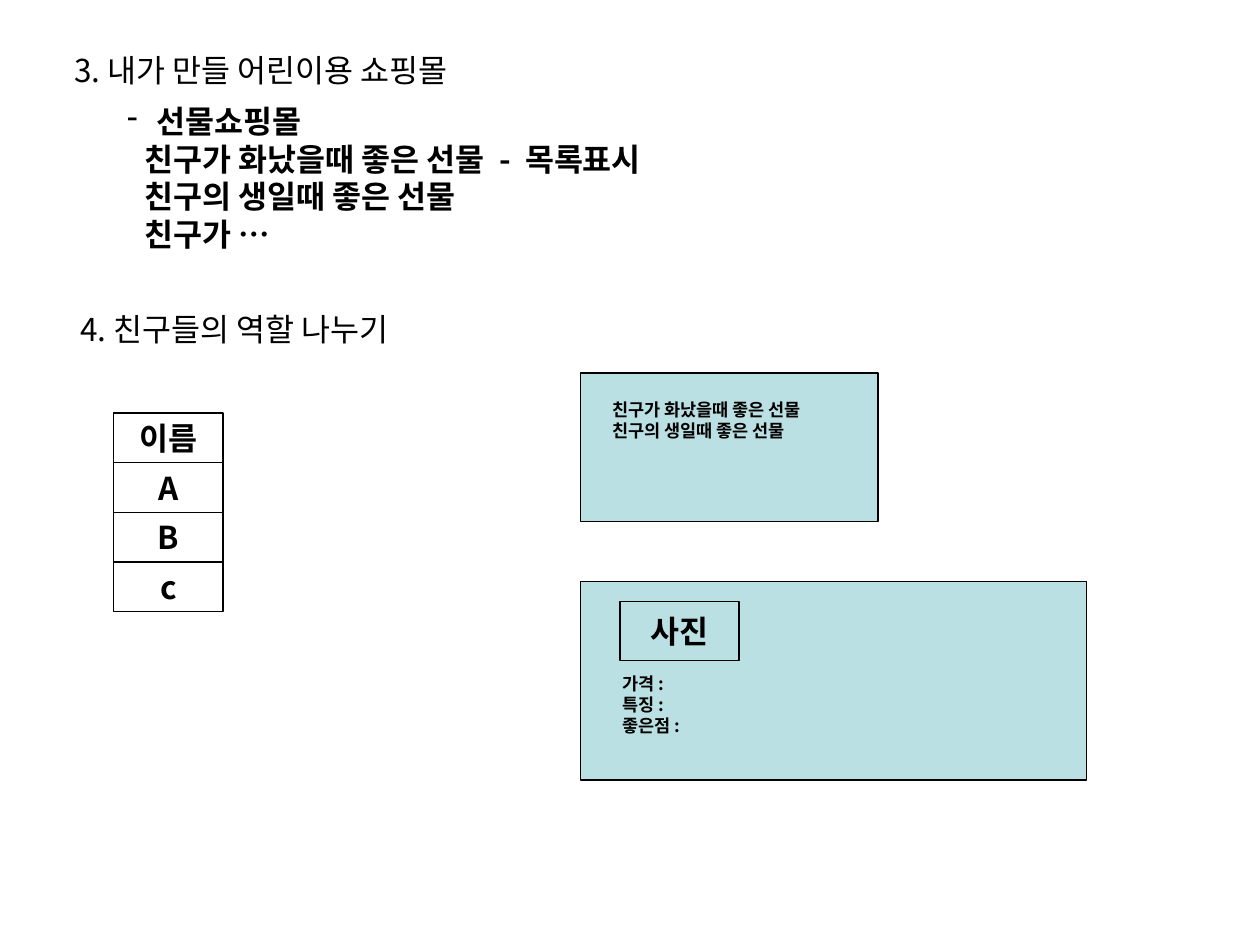
import pptx
import pptx.util
from pptx.dml.color import RGBColor
from pptx.enum.shapes import MSO_SHAPE
from pptx.enum.text import MSO_ANCHOR, MSO_AUTO_SIZE, PP_ALIGN
from pptx.oxml.ns import qn
from lxml import etree

Pt = pptx.util.Pt


def color(value):
    return RGBColor.from_string(value)


class Deck:
    font = "Noto Sans CJK KR"
    ink = "000000"
    panel = "BBE0E3"
    line_width = 0.75
    leading = 1.2

    def __init__(self, width, height):
        self.prs = pptx.Presentation()
        self.prs.slide_width, self.prs.slide_height = Pt(width), Pt(height)
        self.s = self.prs.slides.add_slide(self.prs.slide_layouts[6])

    def add_lines(self, sp, lines, size, bold, frame, align=PP_ALIGN.LEFT, indent=0, dash=0):
        """Fill a shape with lines; dash is the hanging indent of a dashed first line."""
        tf = sp.text_frame
        for name, value in frame.items():
            setattr(tf, name, value)
        for i, line in enumerate(lines):
            p = tf.paragraphs[0] if i == 0 else tf.add_paragraph()
            p.alignment = align
            p.line_spacing = Pt(size * self.leading)
            hang = dash if i == 0 else 0
            pPr = p._p.get_or_add_pPr()
            pPr.set("marL", str(int(Pt(hang or indent))))
            pPr.set("indent", str(-int(Pt(hang))))
            if hang:
                etree.SubElement(pPr, qn("a:buChar")).set("char", "-")
            r = p.add_run()
            r.text = line
            style = {"size": Pt(size), "bold": bold, "name": self.font}
            for name, value in style.items():
                setattr(r.font, name, value)
            r.font.color.rgb = color(self.ink)
            etree.SubElement(r._r.get_or_add_rPr(), qn("a:ea")).set("typeface", self.font)

    def text(self, x, y, w, h, lines, size=18, bold=True, wrap=False, grow=True, **layout):
        sp = self.s.shapes.add_textbox(Pt(x), Pt(y), Pt(w), Pt(h))
        frame = {
            "word_wrap": wrap,
            "auto_size": MSO_AUTO_SIZE.SHAPE_TO_FIT_TEXT if grow else MSO_AUTO_SIZE.NONE,
            "vertical_anchor": MSO_ANCHOR.TOP if grow else MSO_ANCHOR.MIDDLE,
        }
        self.add_lines(sp, lines, size, bold, frame, **layout)

    def box(self, x, y, w, h, label=None, fill=None):
        sp = self.s.shapes.add_shape(MSO_SHAPE.RECTANGLE, Pt(x), Pt(y), Pt(w), Pt(h))
        sp.shadow.inherit = False
        if fill:
            sp.fill.solid()
            sp.fill.fore_color.rgb = color(fill)
        else:
            sp.fill.background()
        sp.line.color.rgb = color(self.ink)
        sp.line.width = Pt(self.line_width)
        if label:
            frame = {"word_wrap": False, "vertical_anchor": MSO_ANCHOR.MIDDLE}
            self.add_lines(sp, [label], 18, True, frame, PP_ALIGN.CENTER)


def main():
    deck = Deck(720, 540)

    # Headings
    deck.text(35.3, 25.9, 232.6, 28.8, ["3. 내가 만들 어린이용 쇼핑몰"], bold=False)
    deck.text(38.9, 173.5, 195.1, 28.8, ["4. 친구들의 역할 나누기"], bold=False)

    # Shopping mall idea
    ideas = ["선물쇼핑몰", "친구가 화났을때 좋은 선물  -  목록표시",
             "친구의 생일때 좋은 선물", "친구가 …"]
    deck.text(65.5, 54.7, 323.3, 93.6, ideas, indent=10, dash=17)

    # Name column
    row = 28.35
    for i, name in enumerate(["이름", "A", "B", "c"]):
        deck.box(65, 236.1 + i * row, 62.5, row, name)

    # Gift list panel
    deck.box(331.7, 213.2, 170, 85, fill=deck.panel)
    gifts = ["친구가 화났을때 좋은 선물", "친구의 생일때 좋은 선물"]
    deck.text(342.7, 224.6, 198.7, 31.7, gifts, size=10, wrap=True)

    # Gift detail panel
    deck.box(331.7, 332.3, 289.2, 113.4, fill=deck.panel)
    deck.box(354.3, 343.6, 68, 34, "사진", fill=deck.panel)
    deck.text(348.5, 383, 85, 39.6, ["가격 :", "특징 :", "좋은점 :"], size=10, grow=False)

    deck.prs.save("out.pptx")


if __name__ == "__main__":
    main()
